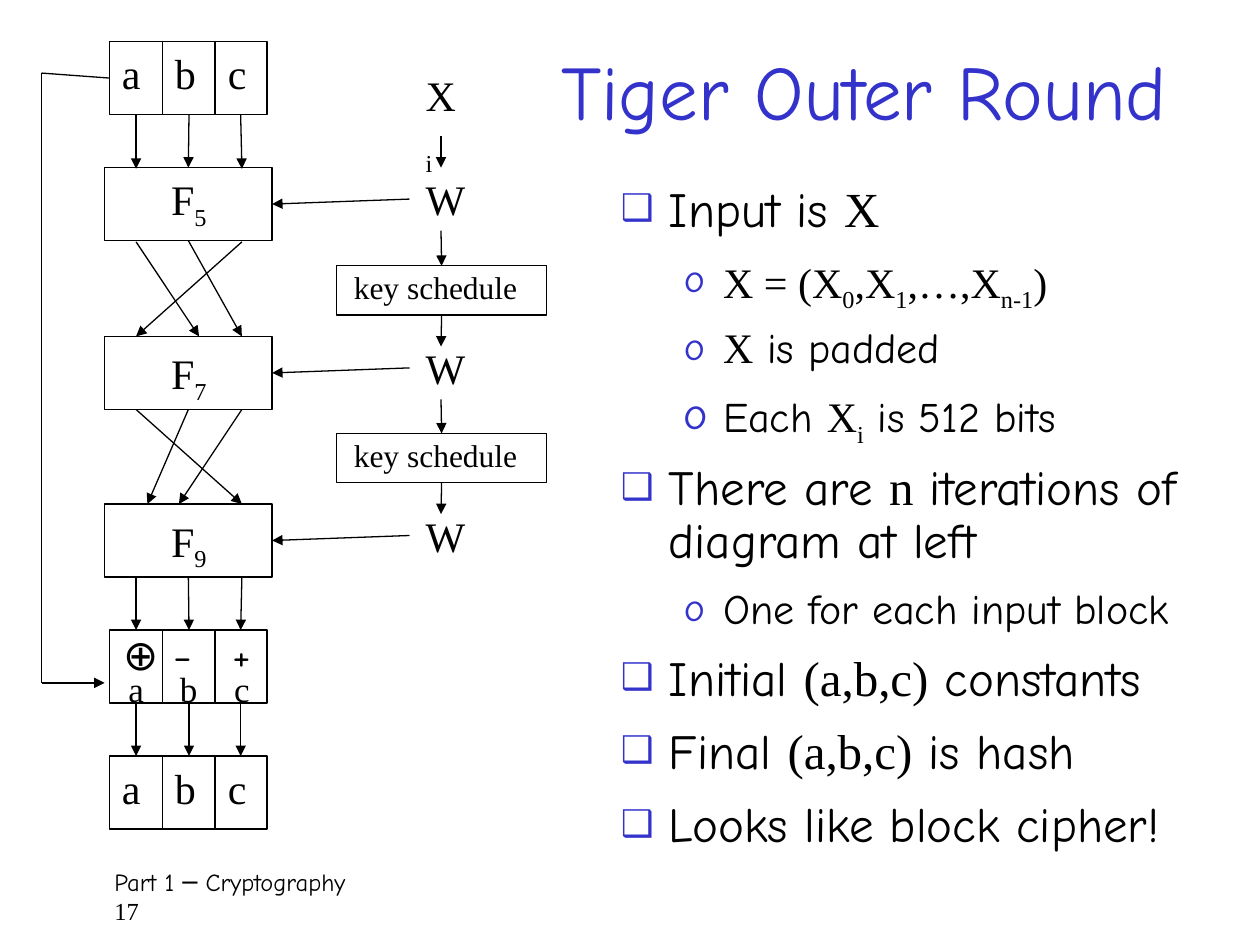
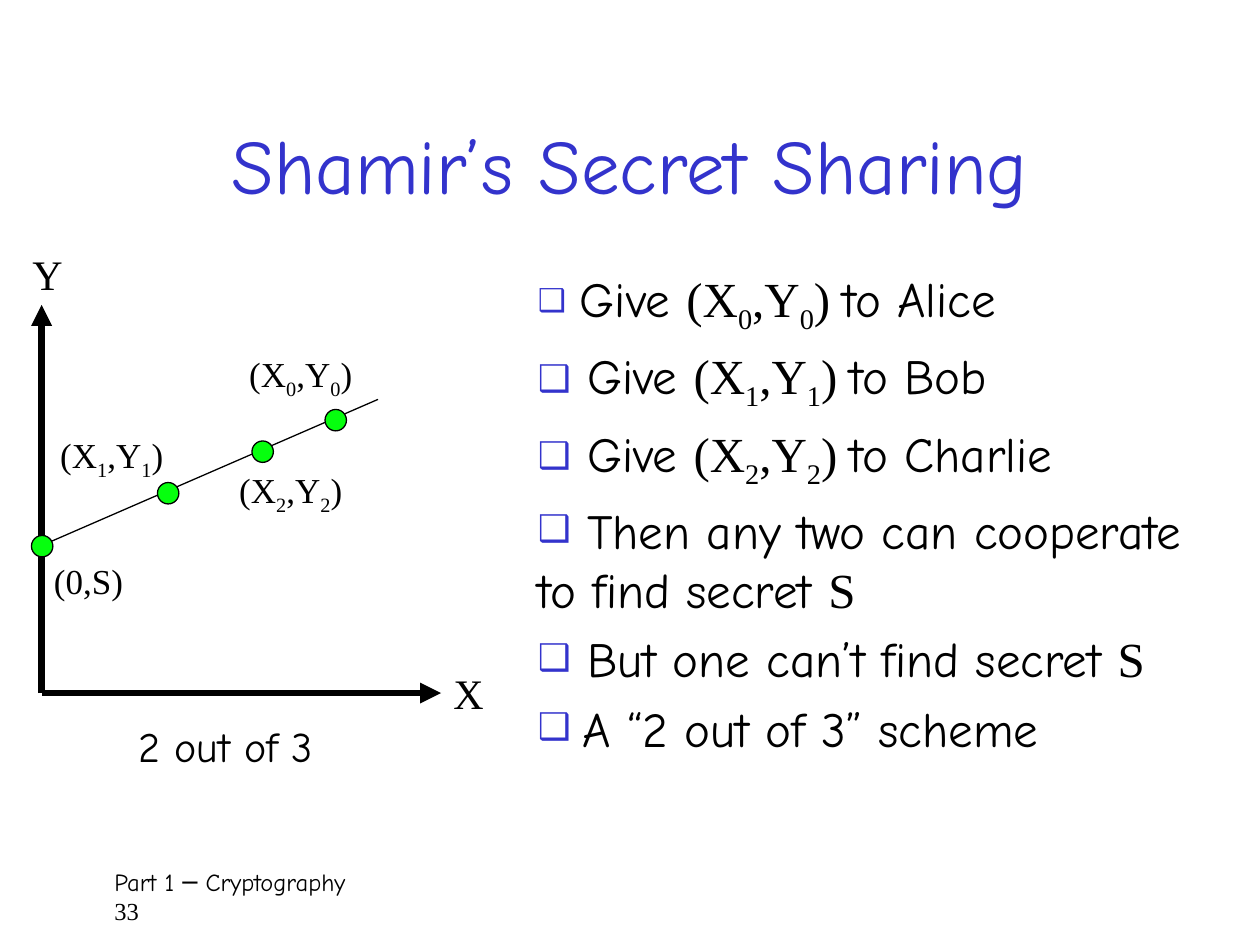
from lxml.etree import SubElement
from pptx import Presentation
from pptx.dml.color import RGBColor
from pptx.enum.shapes import MSO_CONNECTOR, MSO_SHAPE
from pptx.enum.text import MSO_ANCHOR, PP_ALIGN
from pptx.oxml.ns import qn
from pptx.util import Inches, Pt

BLACK = RGBColor(0x00, 0x00, 0x00)
WHITE = RGBColor(0xFF, 0xFF, 0xFF)
BLUE = RGBColor(0x33, 0x33, 0xCC)
GREEN = RGBColor(0x06, 0xFF, 0x0E)
SANS = "Comic Neue"
SERIF = "Times New Roman"
JOIN_DISTANCE = Inches(0.04)


class Deck:
    """Shared style and the slide being built."""

    def __init__(self):
        self.presentation = Presentation()
        self.presentation.slide_width = Inches(10)
        self.presentation.slide_height = Inches(7.5)

    def new_slide(self, title, number, title_box, line_spacing=None):
        self.slide = self.presentation.slides.add_slide(self.presentation.slide_layouts[6])
        self.slide.background.fill.solid()
        self.slide.background.fill.fore_color.rgb = WHITE
        self.boxes = []
        frame = self.text_frame(*title_box)
        frame.vertical_anchor = MSO_ANCHOR.MIDDLE
        paragraph = frame.paragraphs[0]
        paragraph.alignment = PP_ALIGN.CENTER
        paragraph.line_spacing = line_spacing
        self.add_runs(paragraph, title, 44, BLUE)
        # Footer: course part above the page number
        footer = self.text_frame(0.81, 6.83, 8.5, 0.5)
        self.add_runs(footer.paragraphs[0], "Part 1 ─ Cryptography", 14)
        self.add_runs(footer.add_paragraph(), f"|{number}", 14)

    def text_frame(self, left, top, width, height):
        shape = self.slide.shapes.add_textbox(
            Inches(left), Inches(top), Inches(width), Inches(height))
        shape.text_frame.word_wrap = True
        return shape.text_frame

    def add_runs(self, paragraph, text, size, color=BLACK):
        """Put serif passages between bars and subscripts between tildes."""
        for part_index, part in enumerate(text.split("|")):
            for piece_index, piece in enumerate(part.split("~")):
                if not piece:
                    continue
                run = paragraph.add_run()
                run.text = piece
                run.font.size = Pt(size)
                run.font.name = SERIF if part_index % 2 else SANS
                run.font.color.rgb = color
                if piece_index % 2:
                    run.font._element.set("baseline", "-25000")

    def label(self, text, left, top, width=0.6, height=0.5, size=24, line_spacing=None):
        paragraph = self.text_frame(left, top, width, height).paragraphs[0]
        paragraph.line_spacing = line_spacing
        self.add_runs(paragraph, text, size)

    def bullet(self, paragraph, character, percent, margin=0, hanging=0):
        properties = paragraph._p.get_or_add_pPr()
        properties.set("marL", str(Inches(margin)))
        properties.set("indent", str(-Inches(hanging)))
        color = SubElement(properties, qn("a:buClr"))
        SubElement(color, qn("a:srgbClr"), val=str(BLUE))
        SubElement(properties, qn("a:buSzPct"), val=str(percent * 1000))
        SubElement(properties, qn("a:buFont"), typeface=SANS)
        SubElement(properties, qn("a:buChar"), char=character)

    def outlined(self, kind, left, top, width, height, fill=None):
        shape = self.slide.shapes.add_shape(
            kind, Inches(left), Inches(top), Inches(width), Inches(height))
        shape.shadow.inherit = False
        shape.line.color.rgb = BLACK
        shape.line.width = Pt(0.75)
        if fill is None:
            shape.fill.background()
        else:
            shape.fill.solid()
            shape.fill.fore_color.rgb = fill
        return shape

    def box(self, left, top, width, height):
        self.boxes.append(self.outlined(MSO_SHAPE.RECTANGLE, left, top, width, height))

    def dot(self, left, top):
        self.outlined(MSO_SHAPE.OVAL, left, top, 0.17, 0.17, GREEN)

    def find_side(self, x, y):
        """Return the box and side whose middle lies at the point."""
        for box in self.boxes:
            middle_x, middle_y = box.left + box.width // 2, box.top + box.height // 2
            sides = ((middle_x, box.top), (box.left, middle_y),
                     (middle_x, box.top + box.height), (box.left + box.width, middle_y))
            for side, (side_x, side_y) in enumerate(sides):
                if max(abs(side_x - x), abs(side_y - y)) <= JOIN_DISTANCE:
                    return box, side
        return None

    def line(self, start, end, width=0.75, arrow=True):
        (x1, y1), (x2, y2) = [map(Inches, point) for point in (start, end)]
        connector = self.slide.shapes.add_connector(MSO_CONNECTOR.STRAIGHT, x1, y1, x2, y2)
        connector.line.color.rgb = BLACK
        connector.line.width = Pt(width)
        if arrow:
            SubElement(connector.line._get_or_add_ln(), qn("a:tailEnd"), type="triangle")
        SubElement(connector._element.spPr, qn("a:effectLst"))
        begin_side, end_side = self.find_side(x1, y1), self.find_side(x2, y2)
        if begin_side:
            connector.begin_connect(*begin_side)
        if end_side:
            connector.end_connect(*end_side)


def build_tiger(deck):
    deck.new_slide("Tiger Outer Round ", 17, (4.17, 0.17, 5.58, 1.17), 0.9)
    columns = (1.08, 1.5, 1.92)
    cell_lefts = (0.87, 1.29, 1.7)

    # Register rows: input, feedforward, output
    for top in (0.33, 5, 6):
        for left in cell_lefts:
            deck.box(left, top, 0.42, 0.58)
    for top in (0.47, 6.14):
        for letter, left in zip("abc", (0.87, 1.29, 1.71)):
            deck.label(f"|{letter}", left, top, 0.4, 0.34, line_spacing=0.6)
    for symbol, letter, symbol_left, letter_left in zip(
            "⊕−+", "abc", (0.88, 1.28, 1.75), (0.92, 1.33, 1.76)):
        deck.label(symbol, symbol_left, 5.08, 0.46, 0.34, line_spacing=0.6)
        deck.label(f"|{letter}", letter_left, 5.37, 0.36, 0.3, 20, 0.6)

    # Round functions, each fed by a key word
    for function, top, label_top, arrow_y in (
            (5, 1.33, 1.33, 1.58), (7, 2.67, 2.71, 2.92), (9, 4, 4.04, 4.25)):
        deck.box(0.83, top, 1.33, 0.58)
        deck.label(f"|F~{function}~", 1.26, label_top, 0.66)
        deck.label("|W", 3.28, top)
        deck.line((3.25, arrow_y), (2.17, arrow_y))

    # Key schedule
    deck.label("|X~i~", 3.28, 0.5, 0.47)
    for top in (2.11, 3.44):
        deck.box(2.67, top, 1.67, 0.39)
        deck.label("|key schedule", 2.71, top - 0.03, 1.66, 0.4, 18)
    for y in (1.08, 1.83, 2.5, 3.17, 3.83):
        deck.line((3.5, y), (3.5, y + 0.25))

    # Straight arrows between rows, then the permuted ones
    for y in (0.92, 4.58, 5.58):
        for x in columns:
            deck.line((x, y), (x, y + 0.42))
    for y, targets in ((1.92, (1.58, 1.92, 1.08)), (3.25, (1.92, 1.17, 1.42))):
        for x, target in zip(columns, targets):
            deck.line((x, y), (target, y + 0.75))

    # Feedforward path
    corners = ((0.87, 0.58), (0.33, 0.58), (0.33, 5.42), (0.83, 5.42))
    for index, (start, end) in enumerate(zip(corners, corners[1:])):
        deck.line(start, end, arrow=index == 2)

    # Explanation: level, bullet percent, text
    items = (
        (0, 75, "Input is |X"),
        (1, 95, "|X = (X~0~,X~1~,…,X~n-1~)"),
        (1, 95, "|X| is padded"),
        (1, 110, "Each |X~i~| is 512 bits"),
        (0, 75, "There are |n| iterations of diagram at left"),
        (1, 95, "One for each input block"),
        (0, 75, "Initial |(a,b,c)| constants"),
        (0, 75, "Final |(a,b,c)| is hash"),
        (0, 75, "Looks like block cipher!"),
    )
    frame = deck.text_frame(4.83, 1.42, 4.92, 5.33)
    for index, (level, percent, text) in enumerate(items):
        paragraph = frame.add_paragraph() if index else frame.paragraphs[0]
        size = 24 if level else 28
        paragraph.level = level
        paragraph.line_spacing = 0.9
        paragraph.space_before = Pt(size * 0.2)
        paragraph.space_after = Pt(6)
        if level:
            deck.bullet(paragraph, "o", percent, 0.81, 0.31)
        else:
            deck.bullet(paragraph, "❑", percent, 0.38, 0.38)
        deck.add_runs(paragraph, text, size)


def build_shamir(deck):
    deck.new_slide("Shamir’s Secret Sharing", 33, (0.75, 0.67, 8.5, 1.25))

    # Axes and the secret line
    origin = (0.33, 5.5)
    deck.line(origin, (3.5, 5.5), 4)
    deck.line(origin, (0.33, 2.42), 4)
    deck.line((0.33, 4.33), (3, 3.17), arrow=False)
    deck.label("|X", 3.5, 5.25)
    deck.label("|Y", 0.16, 1.92)
    deck.label("2 out of 3", 1, 5.67, 1.76, 0.57)

    # Points and their names
    for left, top in ((0.25, 4.25), (1.25, 3.83), (2, 3.5), (2.58, 3.25)):
        deck.dot(left, top)
    deck.label("|(0,S)", 0.33, 4.39, 1.1, 0.43, 20)
    for index, (left, top) in enumerate(((1.88, 2.75), (0.38, 3.39), (1.8, 3.67))):
        deck.label(f"|(X~{index}~,Y~{index}~)", left, top, 1.1, 0.43, 20)

    # Explanation
    items = (
        " ||Give |(X~0~,Y~0~) |to Alice",
        " Give |(X~1~,Y~1~) |to Bob",
        " Give |(X~2~,Y~2~) |to Charlie",
        " Then any two can cooperate to find secret |S",
        " But one can’t find secret |S",
        "| |A “2 out of 3” scheme",
    )
    frame = deck.text_frame(4.17, 2.08, 5.67, 3.82)
    for index, text in enumerate(items):
        paragraph = frame.add_paragraph() if index else frame.paragraphs[0]
        paragraph.space_after = Pt(6)
        deck.bullet(paragraph, "❑", 75)
        deck.add_runs(paragraph, text, 28)
    frame.paragraphs[0].runs[0].font.size = Pt(24)


def main():
    deck = Deck()
    build_tiger(deck)
    build_shamir(deck)
    deck.presentation.save("out.pptx")


if __name__ == "__main__":
    main()
